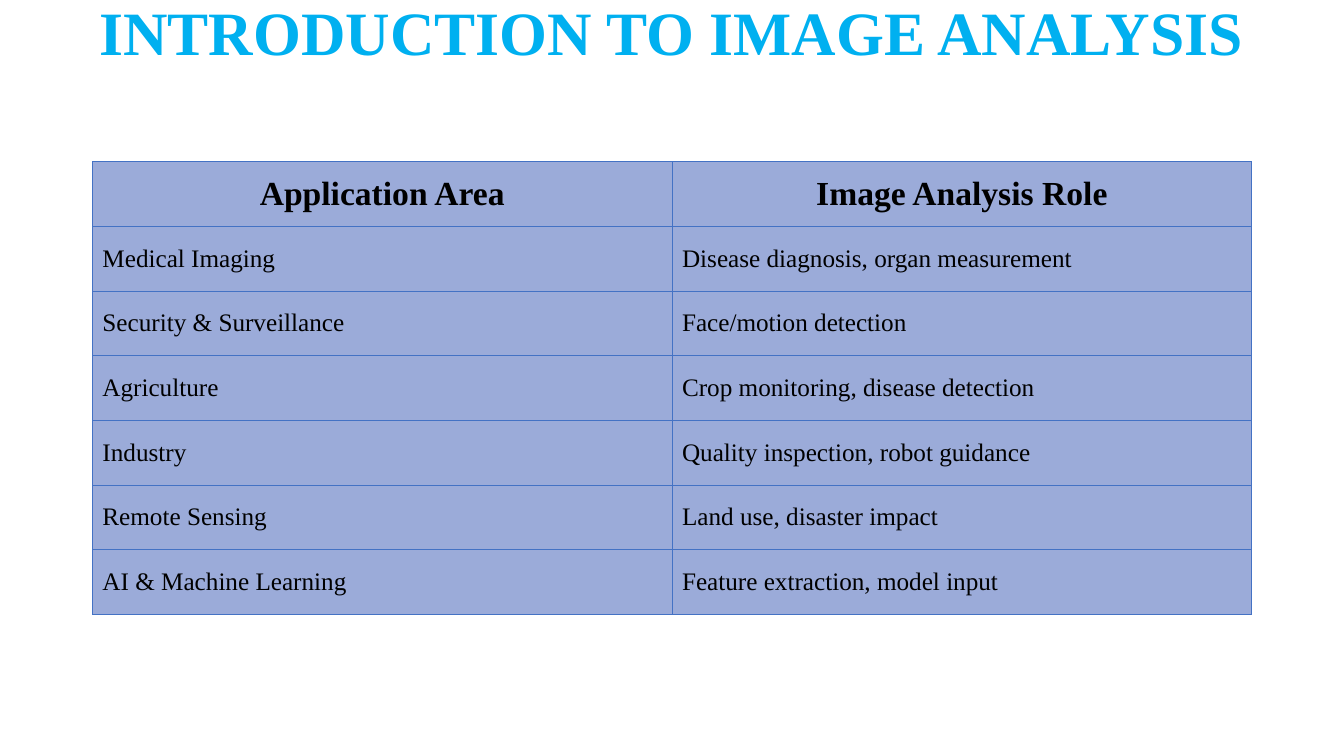
from dataclasses import dataclass

from lxml import etree
from pptx import Presentation
from pptx.dml.color import RGBColor
from pptx.enum.text import MSO_ANCHOR, MSO_AUTO_SIZE, PP_ALIGN
from pptx.oxml.ns import qn
from pptx.util import Pt

CENTER, LEFT = PP_ALIGN.CENTER, PP_ALIGN.LEFT
MIDDLE = MSO_ANCHOR.MIDDLE
NO_AUTOFIT = MSO_AUTO_SIZE.NONE
EMU_PER_PX = 9525  # 96 px to the inch


@dataclass(frozen=True)
class Theme:
    font: str = "Times New Roman"
    title_color: str = "00B0F0"
    text_color: str = "000000"
    cell_fill: str = "9BABD9"
    border_color: str = "4472C4"
    border_width: float = 0.5
    title_size: int = 44
    header_size: int = 24
    body_size: int = 18


THEME = Theme()

APPLICATIONS = [
    ("Application Area", "Image Analysis Role"),
    ("Medical Imaging", "Disease diagnosis, organ measurement"),
    ("Security & Surveillance", "Face/motion detection"),
    ("Agriculture", "Crop monitoring, disease detection"),
    ("Industry", "Quality inspection, robot guidance"),
    ("Remote Sensing", "Land use, disaster impact"),
    ("AI & Machine Learning", "Feature extraction, model input"),
]


def px(*lengths):
    """Turn pixel lengths into EMU."""
    return [length * EMU_PER_PX for length in lengths]


def style_paragraph(para, size, color, bold, align):
    para.alignment = align
    para.font.name = THEME.font
    para.font.size = Pt(size)
    para.font.bold = bold
    para.font.color.rgb = RGBColor.from_string(color)


deck = Presentation()
deck.slide_width, deck.slide_height = px(1280, 720)
page = deck.slides.add_slide(deck.slide_layouts.get_by_name("Title Only"))

# Title
title = page.shapes.title
title.left, title.top, title.width, title.height = px(0, 1, 1280, 66)
title_frame = title.text_frame
title_frame.text = "INTRODUCTION TO IMAGE ANALYSIS"
title_frame.auto_size = NO_AUTOFIT
title_frame.word_wrap = True
title_frame.vertical_anchor = MIDDLE
title_para = title_frame.paragraphs[0]
title_para.line_spacing = 0.9
style_paragraph(title_para, THEME.title_size, THEME.title_color, True, CENTER)

# Table of application areas
table = page.shapes.add_table(
    len(APPLICATIONS), 2, *px(88, 154, 1104, 431)
).table
table.horz_banding = False

for row_index, row in enumerate(APPLICATIONS):
    is_header = row_index == 0
    size = THEME.header_size if is_header else THEME.body_size
    align = CENTER if is_header else LEFT
    for column_index, text in enumerate(row):
        cell = table.cell(row_index, column_index)
        cell.text = text
        cell.vertical_anchor = MIDDLE
        style_paragraph(cell.text_frame.paragraphs[0], size,
                        THEME.text_color, is_header, align)

        # Borders must come before the fill in the cell properties
        properties = cell._tc.get_or_add_tcPr()
        for side in ("lnL", "lnR", "lnT", "lnB"):
            border = etree.SubElement(properties, qn(f"a:{side}"),
                                      w=str(Pt(THEME.border_width)))
            border_fill = etree.SubElement(border, qn("a:solidFill"))
            etree.SubElement(border_fill, qn("a:srgbClr"),
                             val=THEME.border_color)
        cell.fill.solid()
        cell.fill.fore_color.rgb = RGBColor.from_string(THEME.cell_fill)

deck.save("out.pptx")
